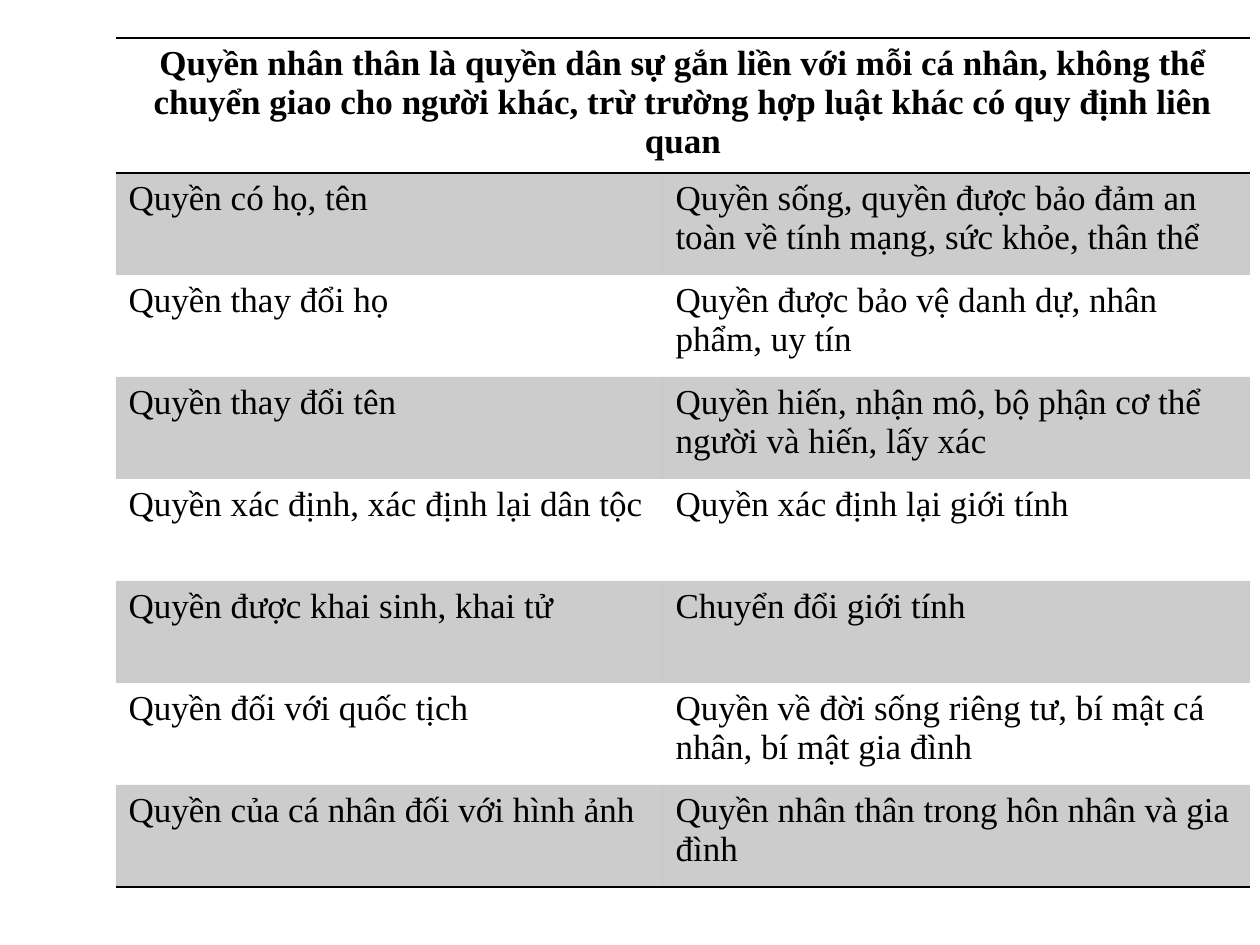
"""Build a slide with a banded table of personal rights."""
from typing import NamedTuple

from lxml.etree import SubElement
from pptx import Presentation
from pptx.dml.color import RGBColor
from pptx.enum.text import PP_ALIGN as Align
from pptx.oxml.ns import qn
from pptx.util import Emu, Pt

EMU_PER_PX = 914400 / 126
COLORS = {"ink": "000000", "band": "000000"}
BAND_ALPHA = 20
FONT = "Times New Roman"
FONT_SIZE = 20
BORDER_WIDTH = 1
NO_STYLE_NO_GRID = "{2D5ABB26-0587-4C30-8999-92F81FD0307C}"
LEFT, TOP = 116, 38
COLUMN_WIDTHS = (547, 587)
HEADER_HEIGHT, ROW_HEIGHT = 135, 102
TITLE = (
    "Quyền nhân thân là quyền dân sự gắn liền với mỗi cá nhân, không thể "
    "chuyển giao cho người khác, trừ trường hợp luật khác có quy định liên quan"
)


class RightsRow(NamedTuple):
    left: str
    right: str


RIGHTS = (
    RightsRow("Quyền có họ, tên",
              "Quyền sống, quyền được bảo đảm an toàn về tính mạng, sức khỏe, thân thể"),
    RightsRow("Quyền thay đổi họ", "Quyền được bảo vệ danh dự, nhân phẩm, uy tín"),
    RightsRow("Quyền thay đổi tên",
              "Quyền hiến, nhận mô, bộ phận cơ thể người và hiến, lấy xác"),
    RightsRow("Quyền xác định, xác định lại dân tộc", "Quyền xác định lại giới tính"),
    RightsRow("Quyền được khai sinh, khai tử", "Chuyển đổi giới tính"),
    RightsRow("Quyền đối với quốc tịch",
              "Quyền về đời sống riêng tư, bí mật cá nhân, bí mật gia đình"),
    RightsRow("Quyền của cá nhân đối với hình ảnh",
              "Quyền nhân thân trong hôn nhân và gia đình"),
)


def px(length: int) -> Emu:
    return Emu(round(length * EMU_PER_PX))


def write_text(cell, text: str, bold: bool = False, align: Align = Align.LEFT) -> None:
    cell.text = text
    paragraph = cell.text_frame.paragraphs[0]
    paragraph.alignment = align
    font = paragraph.font
    font.name, font.size, font.bold = FONT, Pt(FONT_SIZE), bold
    font.color.rgb = RGBColor.from_string(COLORS["ink"])


def add_borders(cell, sides: str) -> None:
    properties = cell._tc.get_or_add_tcPr()
    for side in sides:
        line = SubElement(properties, qn(f"a:ln{side}"), w=str(Pt(BORDER_WIDTH)))
        fill = SubElement(line, qn("a:solidFill"))
        SubElement(fill, qn("a:srgbClr"), val=COLORS["ink"])


def fill_cell(cell, banded: bool) -> None:
    if not banded:
        cell.fill.background()
        return
    cell.fill.solid()
    cell.fill.fore_color.rgb = RGBColor.from_string(COLORS["band"])
    color = cell._tc.tcPr.find(qn("a:solidFill")).find(qn("a:srgbClr"))
    SubElement(color, qn("a:alpha"), val=str(BAND_ALPHA * 1000))


def add_rights_table(slide) -> None:
    heights = (HEADER_HEIGHT, *[ROW_HEIGHT] * len(RIGHTS))
    frame = slide.shapes.add_table(
        len(heights), len(COLUMN_WIDTHS), px(LEFT), px(TOP),
        px(sum(COLUMN_WIDTHS)), px(sum(heights)))
    table = frame.table
    table._tbl.tblPr.find(qn("a:tableStyleId")).text = NO_STYLE_NO_GRID
    for column, width in zip(table.columns, COLUMN_WIDTHS):
        column.width = px(width)
    for row, height in zip(table.rows, heights):
        row.height = px(height)

    header = table.cell(0, 0)
    header.merge(table.cell(0, 1))
    write_text(header, TITLE, bold=True, align=Align.CENTER)
    for cell in table.rows[0].cells:
        add_borders(cell, "TB")
        fill_cell(cell, banded=False)

    for index, rights in enumerate(RIGHTS, start=1):
        for cell, text in zip(table.rows[index].cells, rights):
            write_text(cell, text)
            if index == len(RIGHTS):
                add_borders(cell, "B")
            fill_cell(cell, banded=index % 2 == 1)


def main() -> None:
    presentation = Presentation()
    presentation.slide_width, presentation.slide_height = px(1260), px(945)
    slide = presentation.slides.add_slide(presentation.slide_layouts[6])
    add_rights_table(slide)
    presentation.save("out.pptx")


if __name__ == "__main__":
    main()
